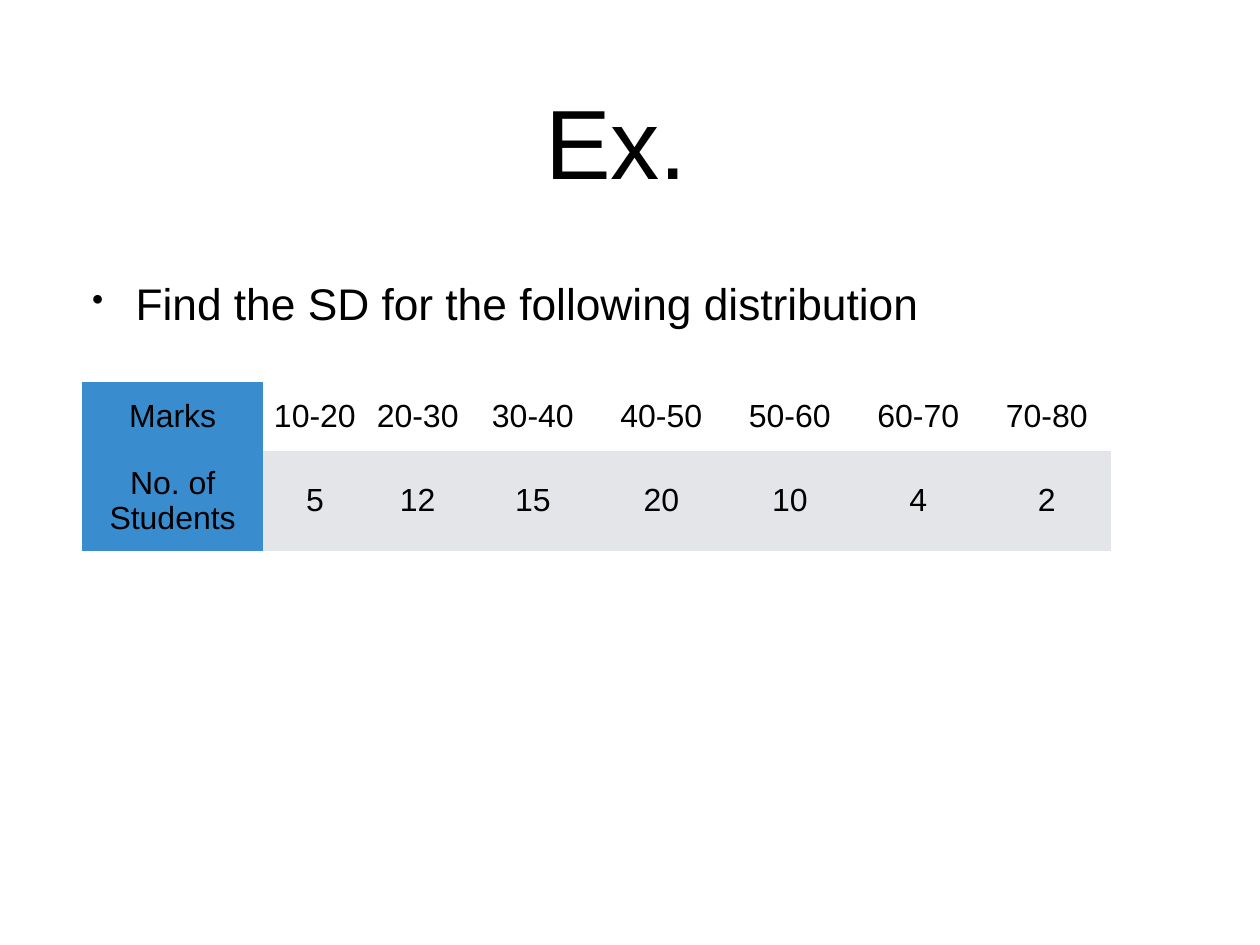
from pptx import Presentation
from pptx.dml.color import RGBColor
from pptx.enum.text import MSO_ANCHOR, PP_ALIGN
from pptx.oxml import parse_xml
from pptx.oxml.ns import nsdecls
from pptx.util import Inches, Pt

WIDTH, HEIGHT = 14.22, 10.67
MARGIN = 1.04
CONTENT_WIDTH = WIDTH - 2 * MARGIN
FONT = "Arial"
BLACK, WHITE, BLUE, GREY = "000000", "FFFFFF", "398CCE", "E3E5E8"

DISTRIBUTION = [
    ["Marks", "10-20", "20-30", "30-40", "40-50", "50-60", "60-70", "70-80"],
    ["No. of Students", "5", "12", "15", "20", "10", "4", "2"],
]
COLUMN_WIDTHS = [2.04, 1.17, 1.15] + [1.45] * 5
ROW_HEIGHTS = [0.78, 1.13]
ROW_FILLS = [WHITE, GREY]


def color(value):
    return RGBColor.from_string(value)


def add_run(p, text, size):
    r = p.add_run()
    r.text = text
    r.font.name = FONT
    r.font.size = Pt(size)
    r.font.bold = False
    r.font.color.rgb = color(BLACK)


def place(sp, top, height):
    """Span the content width and centre the text vertically, without insets."""
    sp.left, sp.top = Inches(MARGIN), Inches(top)
    sp.width, sp.height = Inches(CONTENT_WIDTH), Inches(height)
    tf = sp.text_frame
    tf.word_wrap = True
    tf.vertical_anchor = MSO_ANCHOR.MIDDLE
    tf.margin_left = tf.margin_top = tf.margin_right = tf.margin_bottom = 0
    p = tf.paragraphs[0]
    p.line_spacing = 0.9
    return p


def add_title(s, text):
    p = place(s.shapes.title, 0.49, 2.36)
    p.alignment = PP_ALIGN.CENTER
    add_run(p, text, 80)


def add_bullet(s, text):
    p = place(s.shapes.add_textbox(0, 0, 0, 0), 0.02, 6.88)
    add_run(p, text, 36)
    pPr = p._p.get_or_add_pPr()
    pPr.set("marL", str(Inches(0.49)))
    pPr.set("indent", str(-Inches(0.49)))
    pPr.append(parse_xml(f'<a:buSzPct {nsdecls("a")} val="75000"/>'))
    pPr.append(parse_xml(f'<a:buChar {nsdecls("a")} char="•"/>'))


def fill_cell(cell, text, fill):
    cell.fill.solid()
    cell.fill.fore_color.rgb = color(fill)
    cell.vertical_anchor = MSO_ANCHOR.MIDDLE
    cell.margin_left = cell.margin_right = Inches(0.05)
    cell.margin_top = cell.margin_bottom = Inches(0.05)
    p = cell.text_frame.paragraphs[0]
    p.alignment = PP_ALIGN.CENTER
    add_run(p, text, 26)


def add_distribution(s):
    table = s.shapes.add_table(
        len(ROW_HEIGHTS), len(COLUMN_WIDTHS), Inches(0.93), Inches(4.31),
        Inches(sum(COLUMN_WIDTHS)), Inches(sum(ROW_HEIGHTS))).table
    table.first_row = table.horz_banding = False
    # The "No Style, No Grid" table style leaves the cells without borders.
    table._tbl.tblPr[0].text = "{2D5ABB26-0587-4C30-8999-92F81FD0307C}"
    for column, width in zip(table.columns, COLUMN_WIDTHS):
        column.width = Inches(width)
    for i, (texts, height, fill) in enumerate(zip(DISTRIBUTION, ROW_HEIGHTS, ROW_FILLS)):
        table.rows[i].height = Inches(height)
        for j, text in enumerate(texts):
            fill_cell(table.cell(i, j), text, fill if j else BLUE)


def main():
    prs = Presentation()
    prs.slide_width, prs.slide_height = Inches(WIDTH), Inches(HEIGHT)
    s = prs.slides.add_slide(prs.slide_layouts[5])
    add_title(s, "Ex. ")
    add_bullet(s, "Find the SD for the following distribution")
    add_distribution(s)
    prs.save("out.pptx")


if __name__ == "__main__":
    main()
